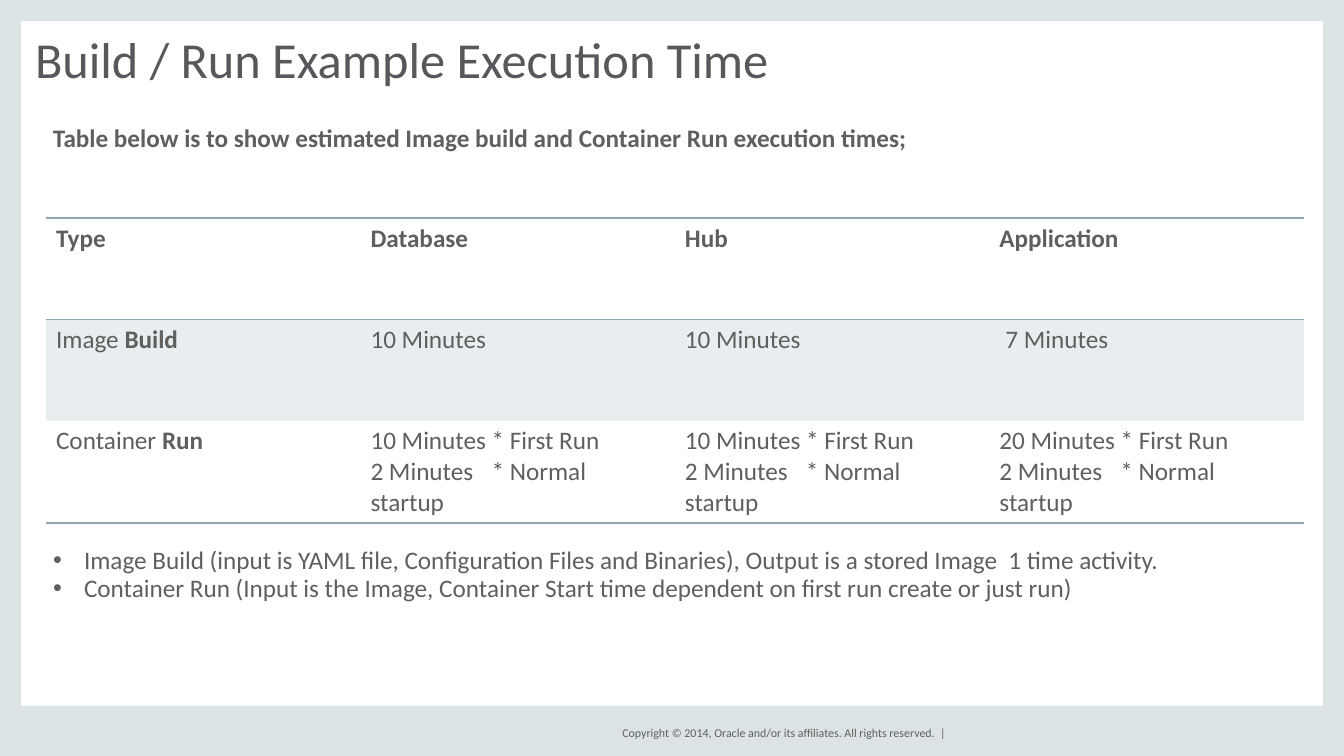
from dataclasses import dataclass

from lxml.etree import SubElement
from pptx import Presentation
from pptx.dml.color import RGBColor
from pptx.enum.shapes import MSO_SHAPE
from pptx.enum.text import MSO_ANCHOR, MSO_AUTO_SIZE, PP_ALIGN
from pptx.oxml.ns import qn
from pptx.util import Pt

EMU_PER_PX = 914400 / 100.8
SLIDE_WIDTH, SLIDE_HEIGHT = 1344, 756
PLAIN_TABLE_STYLE = "{2D5ABB26-0587-4C30-8999-92F81FD0307C}"


@dataclass(frozen=True)
class Theme:
    font: str = "Calibri"
    title_color: RGBColor = RGBColor(0x57, 0x58, 0x5B)
    text_color: RGBColor = RGBColor(0x5F, 0x5F, 0x5F)
    frame: RGBColor = RGBColor(0xDC, 0xE3, 0xE4)
    accent: RGBColor = RGBColor(0x8D, 0xA6, 0xB1)
    title_size: float = 36
    text_size: float = 18
    footer_size: float = 8.5
    band_opacity: int = 20
    line_width: float = 1


THEME = Theme()
STARTUP = "2 Minutes\t* Normal startup"
# Each cell is a list of paragraphs; each paragraph is a list of (text, bold) runs.
TABLE_ROWS = [
    [[[(heading, True)]] for heading in ("Type", "Database", "Hub", "Application")],
    [[[("Image ", False), ("Build", True)]]]
    + [[[(time, False)]] for time in ("10 Minutes", "10 Minutes", "7 Minutes")],
    [[[("Container ", False), ("Run", True)]]]
    + [[[(f"{minutes} Minutes * First Run", False)], [(STARTUP, False)]]
       for minutes in (10, 10, 20)],
]
NOTES = [
    "Image Build (input is YAML file, Configuration Files and Binaries), "
    "Output is a stored Image  1 time activity.",
    "Container Run (Input is the Image, Container Start time dependent "
    "on first run create or just run)",
]


def px(length):
    return round(length * EMU_PER_PX)


def place(shape, box):
    shape.left, shape.top, shape.width, shape.height = map(px, box)


def add_run(paragraph, text, size=THEME.text_size, color=THEME.text_color, bold=False):
    run = paragraph.add_run()
    run.text = text
    font = run.font
    font.name, font.size, font.bold = THEME.font, Pt(size), bold
    font.color.rgb = color


def set_frame(shape, margins=0, wrap=True, anchor=MSO_ANCHOR.TOP):
    """Format the text frame of a shape and return it."""
    frame = shape.text_frame
    frame.auto_size = MSO_AUTO_SIZE.NONE
    frame.word_wrap = wrap
    frame.vertical_anchor = anchor
    frame.margin_left = frame.margin_right = px(margins)
    frame.margin_top = frame.margin_bottom = px(margins / 2)
    return frame


def add_frame(slide):
    """Draw the border bands around the slide."""
    side, bottom = 21, 50
    for box in (
        (0, 0, side, SLIDE_HEIGHT),
        (SLIDE_WIDTH - side, 0, side, SLIDE_HEIGHT),
        (0, SLIDE_HEIGHT - bottom, SLIDE_WIDTH, bottom),
        (0, 0, SLIDE_WIDTH, side),
    ):
        band = slide.shapes.add_shape(MSO_SHAPE.RECTANGLE, *map(px, box))
        band.shadow.inherit = False
        band.fill.solid()
        band.fill.fore_color.rgb = THEME.frame
        band.line.fill.background()


def add_footer(slide, box):
    shape = slide.shapes.add_textbox(*map(px, box))
    paragraph = set_frame(shape, wrap=False, anchor=MSO_ANCHOR.MIDDLE).paragraphs[0]
    paragraph.alignment = PP_ALIGN.RIGHT
    add_run(paragraph,
            "Copyright © 2014, Oracle and/or its affiliates. All rights reserved.  |",
            THEME.footer_size)


def fill_title(slide, box):
    title = slide.shapes.title
    place(title, box)
    paragraph = set_frame(title, margins=10, wrap=False).paragraphs[0]
    paragraph.alignment = PP_ALIGN.LEFT
    add_run(paragraph, "Build / Run Example Execution Time",
            THEME.title_size, THEME.title_color)


def add_introduction(slide, box):
    shape = slide.shapes.add_textbox(*map(px, box))
    paragraph = set_frame(shape).paragraphs[0]
    paragraph.line_spacing = 0.9
    add_run(paragraph,
            "Table below is to show estimated Image build and Container Run execution times;",
            bold=True)


def fill_notes(slide, box):
    body = slide.placeholders[1]
    place(body, box)
    frame = set_frame(body)
    for index, note in enumerate(NOTES):
        paragraph = frame.add_paragraph() if index else frame.paragraphs[0]
        paragraph.line_spacing = 0.9
        paragraph.space_before = Pt(0)
        properties = paragraph._p.get_or_add_pPr()
        properties.set("marL", str(px(31)))
        properties.set("indent", str(-px(31)))
        SubElement(properties, qn("a:buFont"), typeface="Arial")
        SubElement(properties, qn("a:buChar"), char="•")
        add_run(paragraph, note)


def add_cell_line(cell, side):
    line = SubElement(cell._tc.get_or_add_tcPr(), qn(f"a:{side}"),
                      w=str(Pt(THEME.line_width)))
    fill = SubElement(line, qn("a:solidFill"))
    SubElement(fill, qn("a:srgbClr"), val=str(THEME.accent))


def fill_cell(cell, paragraphs, banded):
    if banded:
        cell.fill.solid()
        cell.fill.fore_color.rgb = THEME.accent
        color = cell._tc.tcPr.find(f".//{qn('a:solidFill')}/{qn('a:srgbClr')}")
        SubElement(color, qn("a:alpha"), val=str(THEME.band_opacity * 1000))
    else:
        cell.fill.background()
    for index, runs in enumerate(paragraphs):
        frame = cell.text_frame
        paragraph = frame.add_paragraph() if index else frame.paragraphs[0]
        properties = paragraph._p.get_or_add_pPr()
        if runs[0][0] == "7 Minutes":
            properties.set("marL", str(px(6)))
        if runs[0][0] == STARTUP:
            tabs = SubElement(properties, qn("a:tabLst"))
            SubElement(tabs, qn("a:tab"), pos=str(px(121)), algn="l")
        for text, bold in runs:
            add_run(paragraph, text, bold=bold)


def add_times_table(slide, box):
    row_count, column_count = len(TABLE_ROWS), len(TABLE_ROWS[0])
    graphic = slide.shapes.add_table(row_count, column_count, *map(px, box))
    table = graphic.table
    table.first_row = table.horz_banding = False
    graphic._element.find(f".//{qn('a:tableStyleId')}").text = PLAIN_TABLE_STYLE
    for row_index, row in enumerate(TABLE_ROWS):
        for column_index, paragraphs in enumerate(row):
            cell = table.cell(row_index, column_index)
            banded = row_index == 1
            if row_index == 0:
                add_cell_line(cell, "lnT")
            if not banded:
                add_cell_line(cell, "lnB")
            fill_cell(cell, paragraphs, banded)


def build_slide(presentation):
    slide = presentation.slides.add_slide(presentation.slide_layouts[1])
    add_frame(slide)
    add_footer(slide, (593, 723, 353, 20))
    fill_title(slide, (25, 23, 761, 72))
    add_times_table(slide, (46, 218, 1258, 304))
    fill_notes(slide, (53, 548, 1251, 123))
    add_introduction(slide, (53, 126, 1213, 37))


def main():
    presentation = Presentation()
    presentation.slide_width = px(SLIDE_WIDTH)
    presentation.slide_height = px(SLIDE_HEIGHT)
    build_slide(presentation)
    presentation.save("out.pptx")


if __name__ == "__main__":
    main()
